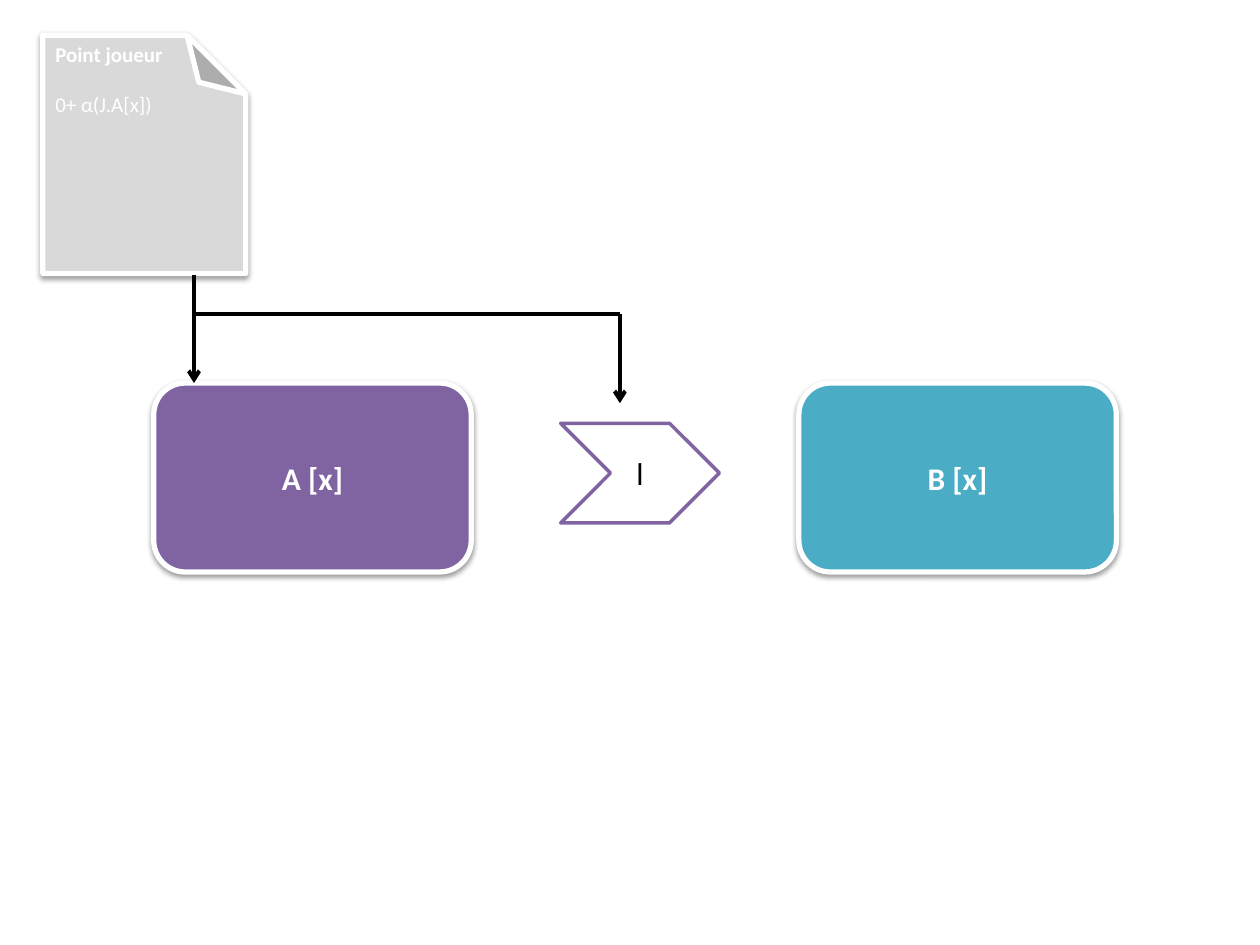
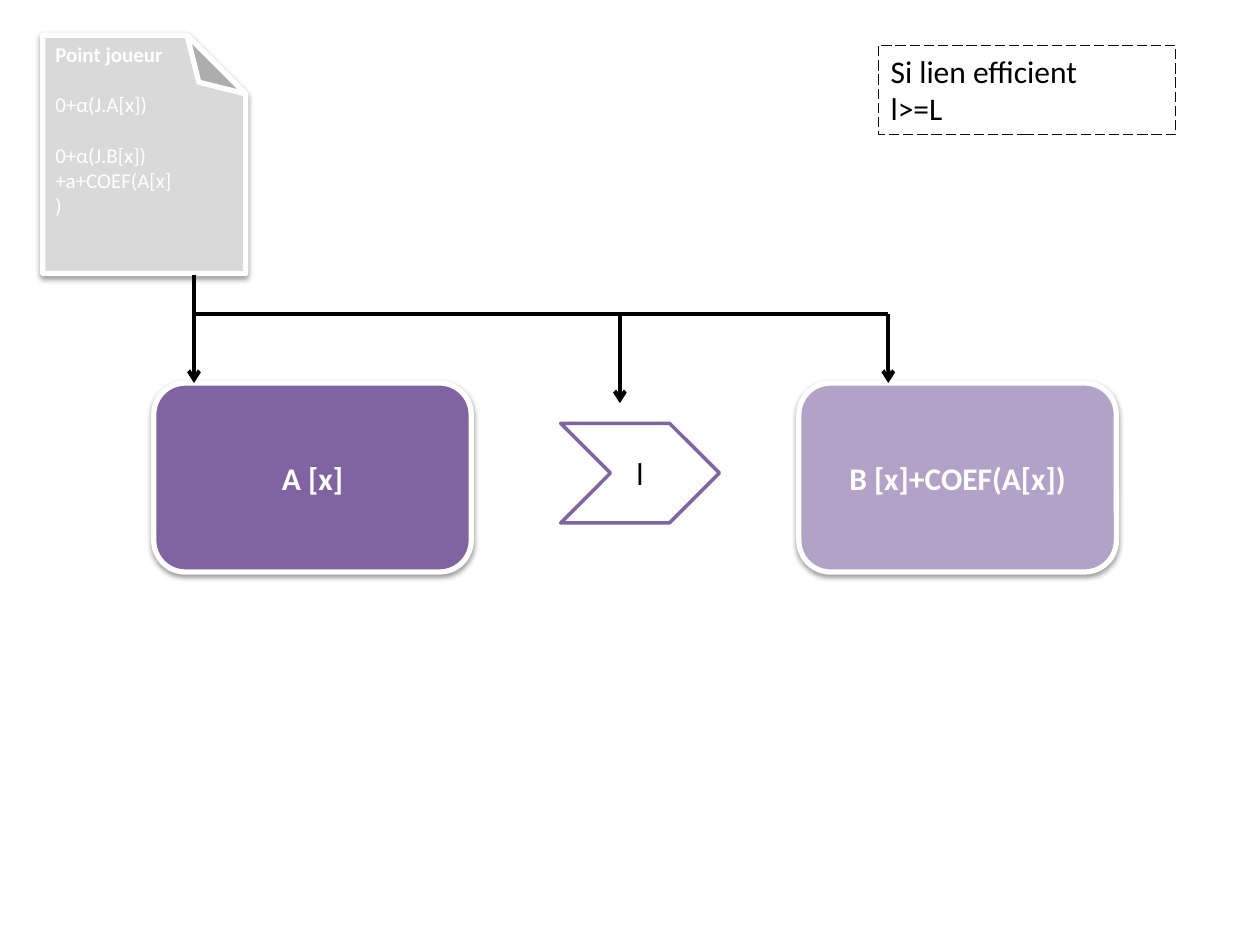
from lxml.etree import SubElement
from pptx import Presentation
from pptx.dml.color import RGBColor
from pptx.enum.dml import MSO_LINE
from pptx.enum.shapes import MSO_CONNECTOR, MSO_SHAPE
from pptx.enum.text import MSO_ANCHOR, MSO_AUTO_SIZE, PP_ALIGN
from pptx.oxml.ns import qn
from pptx.util import Inches, Pt

# Shared style
FONT = "Calibri"
WHITE, BLACK, INK = "FFFFFF", "000000", "0D0D0D"
PURPLE, LILAC, TEAL, GREY = "8064A2", "B3A2C7", "4BACC6", "D9D9D9"

# Shared layout, in inches
BOX_TOP, BOX_W, BOX_H = 3.04, 2.52, 1.5
A_LEFT, B_LEFT = 1.22, 6.34
NOTE_BOTTOM, BRANCH_Y, LINK_Y = 2.18, 2.49, 3.2
A_X, LINK_X, B_X = 1.54, 4.92, 7.05


def rgb(hex_color):
    return RGBColor.from_string(hex_color)


def style_text(tf, size, color, bold=False, align=PP_ALIGN.LEFT):
    for p in tf.paragraphs:
        p.alignment = align
        for r in p.runs:
            r.font.name, r.font.size, r.font.bold = FONT, Pt(size), bold
            r.font.color.rgb = rgb(color)


def add_shadow(sp):
    effects = sp._element.spPr.find(qn("a:effectLst"))
    shadow = SubElement(effects, qn("a:outerShdw"), blurRad=str(Pt(3.1)),
                        dist=str(Pt(1.6)), dir="5400000", rotWithShape="0")
    color = SubElement(shadow, qn("a:srgbClr"), val=BLACK)
    SubElement(color, qn("a:alpha"), val="38000")


def add_block(s, kind, at, fill, line, width):
    sp = s.shapes.add_shape(kind, *map(Inches, at))
    sp.fill.solid()
    sp.fill.fore_color.rgb = rgb(fill)
    sp.line.color.rgb = rgb(line)
    sp.line.width = Pt(width)
    sp.shadow.inherit = False
    return sp


def add_state(s, left, text, fill):
    sp = add_block(s, MSO_SHAPE.ROUNDED_RECTANGLE,
                   (left, BOX_TOP, BOX_W, BOX_H), fill, WHITE, 3)
    add_shadow(sp)
    sp.text_frame.text = text
    style_text(sp.text_frame, 18, WHITE, True, PP_ALIGN.CENTER)


def add_link(s):
    sp = add_block(s, MSO_SHAPE.CHEVRON, (4.45, 3.36, 1.26, 0.79),
                   WHITE, PURPLE, 2)
    sp.text_frame.text = "l"
    style_text(sp.text_frame, 18, BLACK, align=PP_ALIGN.CENTER)


def add_score_note(s, scores):
    # Turned so that the fold is at the top right; its text stays upright
    sp = add_block(s, MSO_SHAPE.FOLDED_CORNER, (0.2, 0.42, 1.89, 1.61),
                   GREY, WHITE, 3)
    sp.rotation = 270
    # python-pptx lists no adjustment for this shape, so the fold is set in XML
    guides = sp._element.spPr.find(qn("a:prstGeom")).find(qn("a:avLst"))
    SubElement(guides, qn("a:gd"), name="adj", fmla="val 28900")
    add_shadow(sp)
    tf = sp.text_frame
    tf.vertical_anchor = MSO_ANCHOR.TOP
    tf._txBody.bodyPr.set("vert", "vert")
    tf.text = "\n".join(["Point joueur", *scores])
    style_text(tf, 12, WHITE)
    for p in tf.paragraphs:
        p.space_before = Pt(14.4)
    tf.paragraphs[0].runs[0].font.bold = True


def add_condition(s, text):
    sp = s.shapes.add_textbox(*map(Inches, (6.97, 0.36, 2.36, 0.71)))
    sp.line.color.rgb = rgb(INK)
    sp.line.width = Pt(0.75)
    sp.line.dash_style = MSO_LINE.LONG_DASH
    tf = sp.text_frame
    tf.word_wrap = True
    tf.auto_size = MSO_AUTO_SIZE.SHAPE_TO_FIT_TEXT
    tf.text = text
    style_text(tf, 18, BLACK)


def add_line(s, x1, y1, x2, y2, arrow=False):
    c = s.shapes.add_connector(MSO_CONNECTOR.STRAIGHT,
                               *map(Inches, (x1, y1, x2, y2)))
    c.line.color.rgb = rgb(BLACK)
    c.line.width = Pt(2.25)
    spPr = c._element.spPr
    if arrow:
        SubElement(spPr.find(qn("a:ln")), qn("a:tailEnd"), type="arrow")
    SubElement(spPr, qn("a:effectLst"))


def add_branches(s, drops):
    add_line(s, A_X, NOTE_BOTTOM, A_X, BOX_TOP, arrow=True)
    add_line(s, A_X, BRANCH_Y, drops[-1][0], BRANCH_Y)
    for x, end_y in drops:
        add_line(s, x, BRANCH_Y, x, end_y, arrow=True)


def add_diagram(prs, b_text, b_fill, scores, drops):
    s = prs.slides.add_slide(prs.slide_layouts[6])
    add_state(s, A_LEFT, "A [x]", PURPLE)
    add_state(s, B_LEFT, b_text, b_fill)
    add_score_note(s, scores)
    add_link(s)
    add_branches(s, drops)
    return s


def main():
    prs = Presentation()
    prs.slide_width, prs.slide_height = Inches(10), Inches(7.5)
    link_drop, b_drop = (LINK_X, LINK_Y), (B_X, BOX_TOP)

    # Slide 1: the player scores A only
    add_diagram(prs, "B [x]", TEAL, ["0+ α(J.A[x])"], [link_drop])

    # Slide 2: the link is efficient, so B scores too
    s = add_diagram(prs, "B [x]+COEF(A[x])", LILAC,
                    ["0+α(J.A[x])", "0+α(J.B[x])+a+COEF(A[x])"],
                    [link_drop, b_drop])
    add_condition(s, "Si lien efficient\nl>=L")

    prs.save("out.pptx")


if __name__ == "__main__":
    main()
